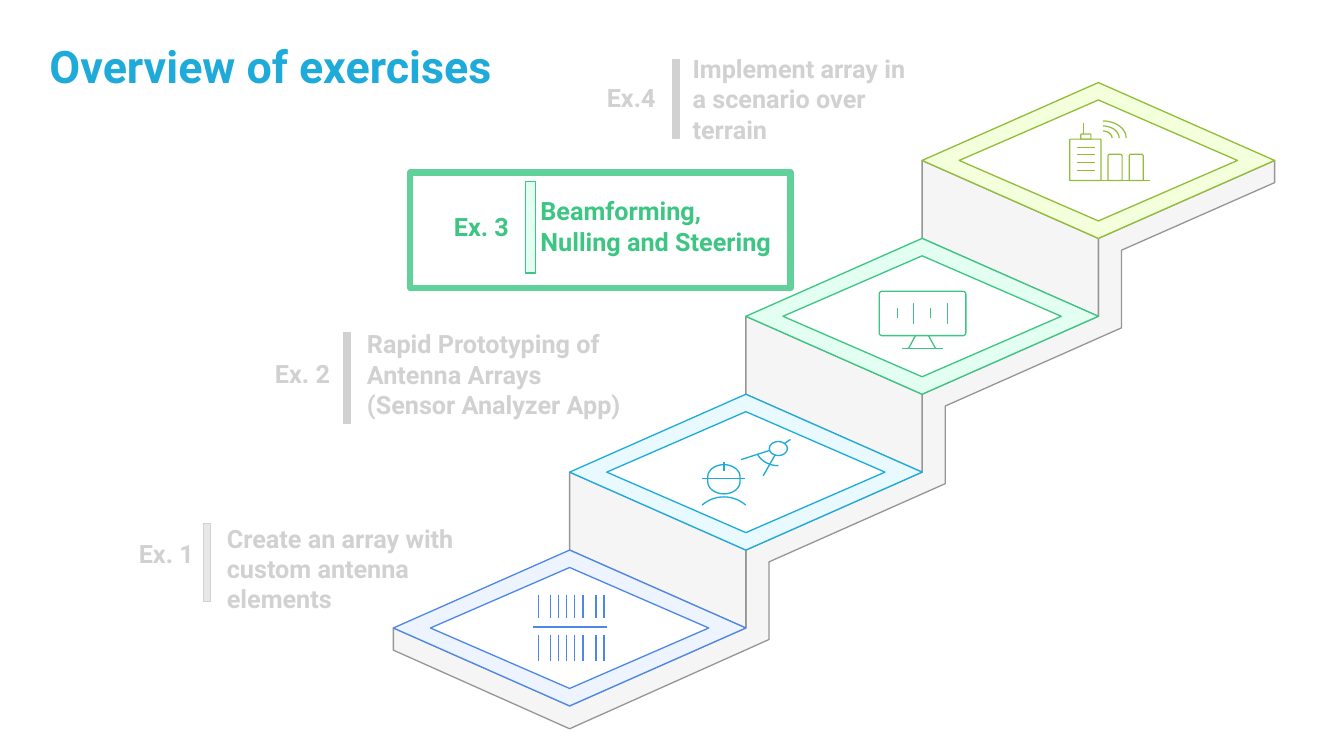
import math
from dataclasses import dataclass

import pptx
import pptx.dml.color
import pptx.enum.shapes
import pptx.enum.text
import pptx.shapes.autoshape
import pptx.slide
import pptx.text.text
import pptx.util

Point = tuple[float, float]
Stroke = list[Point]
Box = tuple[float, float, float, float]

FONT = "Roboto"
COLORS = {
    "title": "1EABDA", "dim": "D1D1D1", "pale": "E8E8E8", "frame": "61D09B",
    "side": "F5F5F5", "edge": "969696",
    "blue": "4E88E7", "ice": "EDF4FF", "cyan": "1EABDA", "sky": "E8F9FF",
    "green": "3CC583", "mint": "E3FFF2", "olive": "92BD39", "lime": "F4FFDC",
}
RUN, RISE = 1.748, 0.773  # half width and half height of a tile
FIRST = (5.65, 6.23)      # centre of the lowest tile


@dataclass
class Label:
    name: str
    name_box: Box
    lines: list[str]
    text_box: Box
    bar: Box
    color: str
    fill: str


@dataclass
class Tile:
    fill: str
    line: str
    icon: list[Stroke]
    weight: float = 0.94


def inch(size: float) -> pptx.util.Length:
    return pptx.util.Cm(size * 2.54)


def paint(name: str) -> pptx.dml.color.RGBColor:
    return pptx.dml.color.RGBColor.from_string(COLORS[name])


def style(shape: pptx.shapes.autoshape.Shape, fill: str | None, line: str, weight: float) -> None:
    shape.shadow.inherit = False
    if fill:
        shape.fill.solid()
        shape.fill.fore_color.rgb = paint(fill)
    else:
        shape.fill.background()
    shape.line.color.rgb = paint(line)
    shape.line.width = pptx.util.Pt(weight)


def draw(slide: pptx.slide.Slide, strokes: list[Stroke], fill: str | None, line: str,
         weight: float = 0.94, close: bool = False) -> None:
    """Draw all strokes as one outline, with points in inches."""
    paths = [[(inch(x), inch(y)) for x, y in stroke] for stroke in strokes]
    pen = slide.shapes.build_freeform(*paths[0][0], scale=1.0)
    for i, points in enumerate(paths):
        if i:
            pen.move_to(*points[0])
        pen.add_line_segments(points[1:], close=close)
    style(pen.convert_to_shape(), fill, line, weight)


def block(slide: pptx.slide.Slide, box: Box, fill: str | None, line: str, weight: float) -> None:
    kind = pptx.enum.shapes.MSO_SHAPE.RECTANGLE
    style(slide.shapes.add_shape(kind, *map(inch, box)), fill, line, weight)


def add_run(para: pptx.text.text._Paragraph, text: str, size: float, color: str) -> None:
    run = para.add_run()
    run.text = text
    run.font.name = FONT
    run.font.size = pptx.util.Pt(size)
    run.font.bold = True
    run.font.color.rgb = paint(color)


def write(slide: pptx.slide.Slide, box: Box, lines: list[str], color: str, center: bool = False) -> None:
    frame = slide.shapes.add_textbox(*map(inch, box)).text_frame
    frame.word_wrap = True
    frame.margin_left = frame.margin_right = frame.margin_top = frame.margin_bottom = 0
    align = pptx.enum.text.PP_ALIGN
    for i, text in enumerate(lines):
        para = frame.add_paragraph() if i else frame.paragraphs[0]
        para.alignment = align.CENTER if center else align.LEFT
        add_run(para, text, 18, color)


def arc(x: float, y: float, rx: float, ry: float, start: float, end: float) -> Stroke:
    """Points of an elliptic arc; angles in degrees, clockwise from the right."""
    turns = [math.radians(start + (end - start) * i / 16) for i in range(17)]
    return [(x + rx * math.cos(t), y + ry * math.sin(t)) for t in turns]


def panel(left: float, top: float, right: float, low: float, top_r: float, low_r: float = 0) -> Stroke:
    """Closed box with round top corners and, if low_r is set, round low ones."""
    ring = (arc(left + top_r, top + top_r, top_r, top_r, 180, 270)
            + arc(right - top_r, top + top_r, top_r, top_r, 270, 360)
            + arc(right - low_r, low - low_r, low_r, low_r, 0, 90)
            + arc(left + low_r, low - low_r, low_r, low_r, 90, 180))
    return ring + ring[:1]


def array_icon() -> list[Stroke]:
    bars = (5.34, 5.46, 5.54, 5.62, 5.7, 5.78, 5.91, 5.99)
    rows = ((5.9, 6.13), (6.3, 6.56))
    return [[(x, a), (x, b)] for a, b in rows for x in bars] + [[(5.29, 6.22), (6.02, 6.22)]]


def maker_icon() -> list[Stroke]:
    head = arc(7.18, 4.73, 0.16, 0.12, 180, 360) + arc(7.18, 4.78, 0.16, 0.12, 0, 180)
    return [
        head + head[:1], arc(7.18, 5.26, 0.33, 0.33, 229, 311),
        [(7.18, 4.58), (7.18, 4.67)], [(6.96, 4.75), (7.39, 4.75)],
        arc(7.72, 4.45, 0.09, 0.07, 0, 360), arc(7.72, 4.42, 0.23, 0.2, 90, 155),
        [(7.69, 4.51), (7.57, 4.72)], [(7.35, 4.56), (7.63, 4.47)], [(7.78, 4.4), (7.84, 4.36)],
    ]


def screen_icon() -> list[Stroke]:
    marks = ((8.9, 0.05), (9.06, 0.1), (9.23, 0.05), (9.4, 0.1))
    return [
        panel(8.72, 2.89, 9.58, 3.33, 0.03, 0.03),
        [(9.08, 3.33), (9.01, 3.46)], [(9.21, 3.33), (9.28, 3.46)], [(8.95, 3.46), (9.35, 3.46)],
        *[[(x, 3.11 - half), (x, 3.11 + half)] for x, half in marks],
    ]


def city_icon() -> list[Stroke]:
    return [
        [(10.61, 1.79), (11.41, 1.79)], [(10.75, 1.33), (10.75, 1.22)],
        panel(10.61, 1.38, 10.92, 1.79, 0.01), panel(10.72, 1.33, 10.82, 1.38, 0.01),
        *[panel(x, 1.53, x + 0.14, 1.79, 0.02) for x in (10.99, 11.2)],
        *[[(10.68, y), (10.86, y)] for y in (1.46, 1.53, 1.61, 1.69)],
        *[arc(10.94, 1.37, rx, ry, 270, 360) for rx, ry in ((0.09, 0.07), (0.16, 0.12), (0.23, 0.17))],
    ]


def diamond(x: float, y: float, half: float, rise: float) -> Stroke:
    return [(x + half, y), (x, y + rise), (x - half, y), (x, y - rise)]


def draw_stairs(slide: pptx.slide.Slide, tiles: list[Tile]) -> None:
    spots = [(FIRST[0] + RUN * i, FIRST[1] - 2 * RISE * i) for i in range(len(tiles))]
    (x0, y0), (xn, yn) = spots[0], spots[-1]
    base = [(xn + RUN, yn + 0.22)]
    for x, y in reversed(spots[1:]):
        base += [(x + 0.23, y + 0.89), (x + 0.23, y + 1.66)]
    base += [(x0, y0 + 1), (x0 - RUN, y0 + 0.22), (x0 - RUN, y0)]
    for x, y in spots:
        base += [(x, y + RISE), (x + RUN, y)]
    draw(slide, [base], "side", "edge", close=True)
    for x, y in spots[1:]:
        riser = [(x, y + 2 * RISE), (x - RUN, y + RISE), (x - RUN, y), (x, y + RISE)]
        draw(slide, [riser], "side", "edge", close=True)
    for (x, y), tile in zip(spots, tiles):
        rings = [diamond(x, y, RUN, RISE), diamond(x, y, 1.38, 0.6)[::-1]]
        draw(slide, rings, tile.fill, tile.line, close=True)
    for tile in tiles:
        draw(slide, tile.icon, None, tile.line, tile.weight)


def set_title(slide: pptx.slide.Slide, text: str) -> None:
    title = slide.shapes.title
    title.left, title.top, title.width, title.height = map(inch, (0.39, 0.33, 4.81, 1.08))
    frame = title.text_frame
    frame.auto_size = pptx.enum.text.MSO_AUTO_SIZE.NONE
    frame.vertical_anchor = pptx.enum.text.MSO_ANCHOR.TOP
    frame.paragraphs[0].alignment = pptx.enum.text.PP_ALIGN.LEFT
    add_run(frame.paragraphs[0], text, 32, "title")


LABELS = [
    Label("Ex. 1", (1.36, 5.34, 0.58, 0.3), ["Create an array with custom antenna elements"],
          (2.25, 5.19, 2.32, 0.91), (2.02, 5.19, 0.07, 0.78), "dim", "pale"),
    Label("Ex. 2", (2.59, 3.56, 0.82, 0.3),
          ["Rapid Prototyping of Antenna Arrays", "(Sensor Analyzer App)"],
          (3.64, 3.26, 2.54, 0.91), (3.41, 3.3, 0.07, 0.9), "dim", "dim"),
    Label("Ex. 3", (4.31, 2.1, 0.93, 0.3), ["Beamforming, Nulling and Steering"],
          (5.36, 1.94, 2.35, 0.61), (5.21, 1.8, 0.1, 0.91), "green", "mint"),
    Label("Ex.4", (5.97, 0.82, 0.58, 0.3), ["Implement array in a scenario over terrain"],
          (6.87, 0.53, 2.3, 0.91), (6.67, 0.59, 0.07, 0.78), "dim", "dim"),
]
TILES = [
    Tile("ice", "blue", array_icon(), 1.12),
    Tile("sky", "cyan", maker_icon()),
    Tile("mint", "green", screen_icon()),
    Tile("lime", "olive", city_icon(), 0.84),
]


def main() -> None:
    deck = pptx.Presentation()
    deck.slide_width, deck.slide_height = inch(13.33), inch(7.5)
    slide = deck.slides.add_slide(deck.slide_layouts[5])
    set_title(slide, "Overview of exercises")
    for label in LABELS:
        block(slide, label.bar, label.fill, label.color, 0.94)
        write(slide, label.name_box, [label.name], label.color, center=True)
        write(slide, label.text_box, label.lines, label.color)
    draw_stairs(slide, TILES)
    block(slide, (4.07, 1.71, 3.77, 1.15), None, "frame", 4.5)
    deck.save("out.pptx")


if __name__ == "__main__":
    main()
